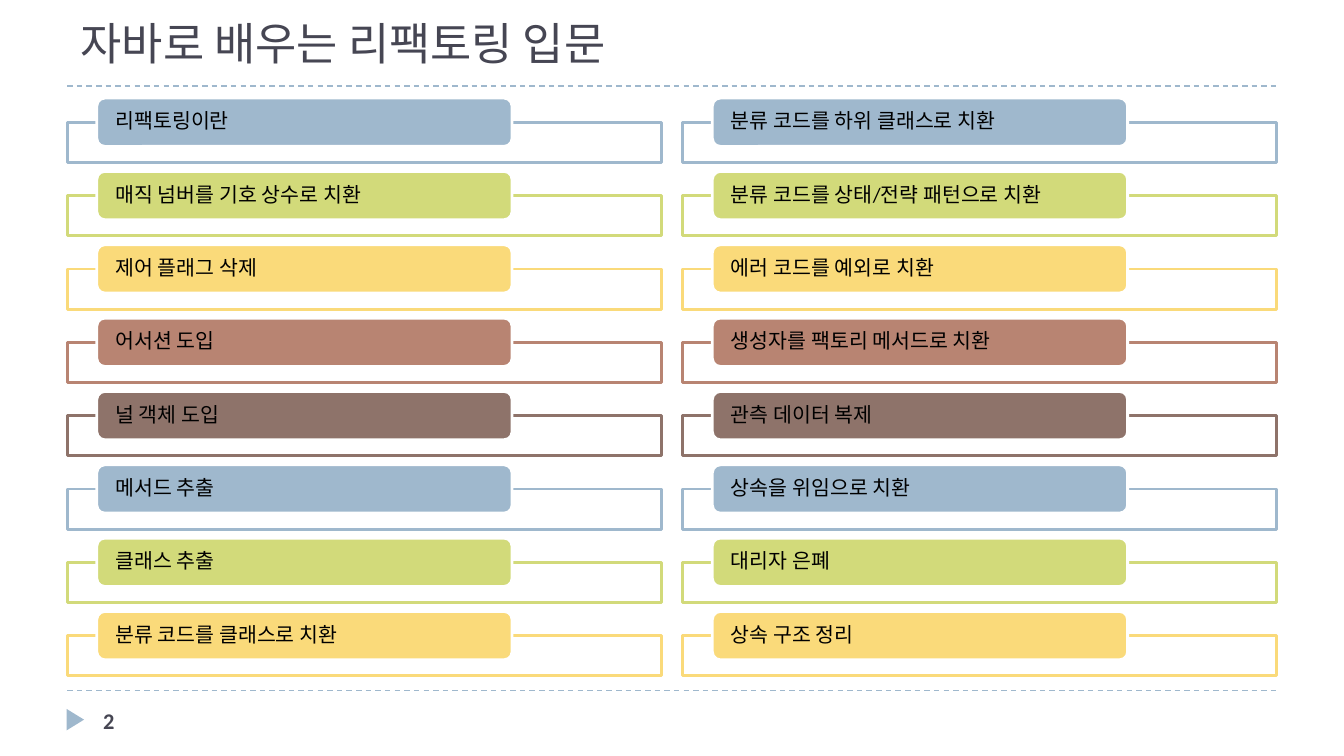
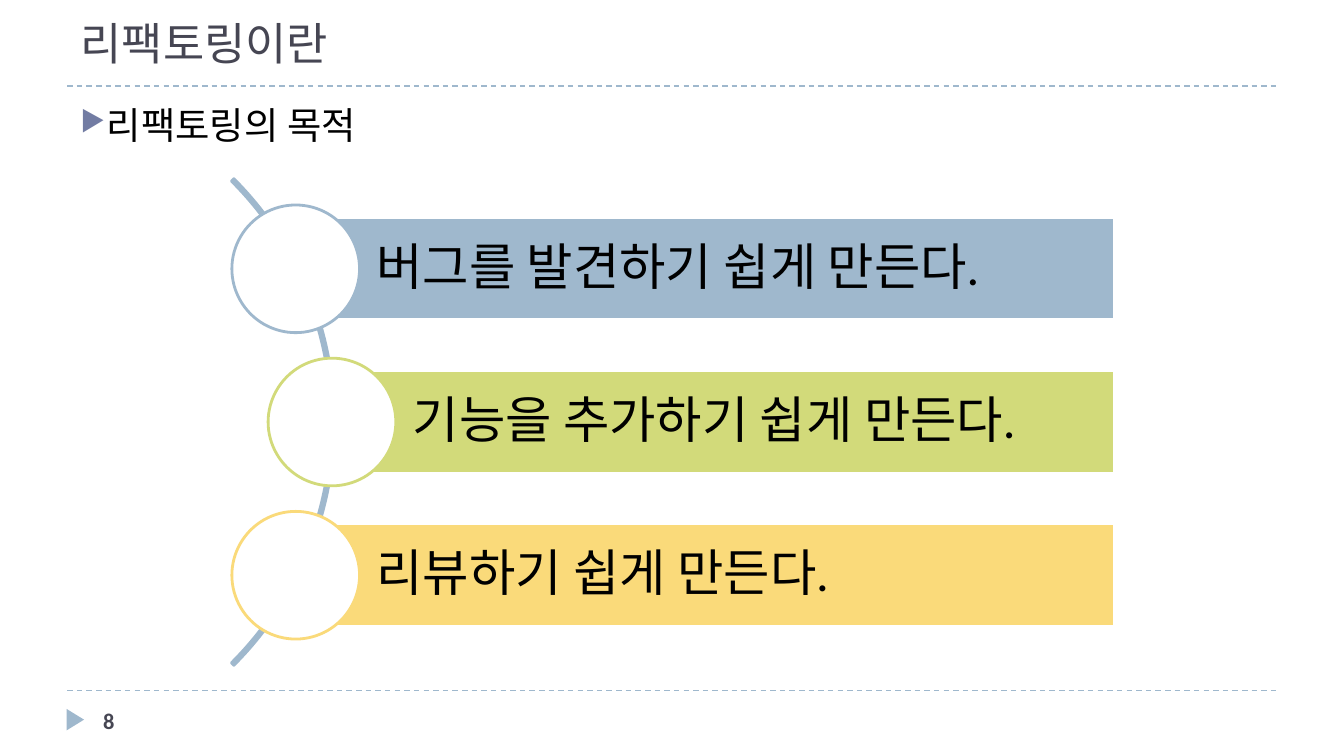
import dataclasses

import lxml.etree
import pptx
import pptx.dml.color
import pptx.enum.dml
import pptx.enum.shapes
import pptx.enum.text
import pptx.oxml.ns
import pptx.presentation
import pptx.shapes.autoshape
import pptx.slide
import pptx.text.text
import pptx.util

Inches = pptx.util.Inches
Pt = pptx.util.Pt
RGBColor = pptx.dml.color.RGBColor
Kind = pptx.enum.shapes.MSO_SHAPE
Anchor = pptx.enum.text.MSO_ANCHOR
qn = pptx.oxml.ns.qn

WHITE = RGBColor(0xFF, 0xFF, 0xFF)
BLACK = RGBColor(0x00, 0x00, 0x00)
SLATE = RGBColor(0x46, 0x46, 0x53)
INDIGO = RGBColor(0x72, 0x7C, 0xA3)
BLUE = RGBColor(0x9F, 0xB8, 0xCD)
GREEN = RGBColor(0xD2, 0xDA, 0x7A)
YELLOW = RGBColor(0xFA, 0xDA, 0x7A)
RUST = RGBColor(0xB8, 0x84, 0x72)
BROWN = RGBColor(0x8E, 0x73, 0x6A)
CYCLE = (BLUE, GREEN, YELLOW, RUST, BROWN)

LATIN = "Calibri"
KOREAN = "Noto Sans CJK KR"
MONO = "Courier New"

TOPICS = (
    ("리팩토링이란", "매직 넘버를 기호 상수로 치환", "제어 플래그 삭제", "어서션 도입",
     "널 객체 도입", "메서드 추출", "클래스 추출", "분류 코드를 클래스로 치환"),
    ("분류 코드를 하위 클래스로 치환", "분류 코드를 상태/전략 패턴으로 치환",
     "에러 코드를 예외로 치환", "생성자를 팩토리 메서드로 치환",
     "관측 데이터 복제", "상속을 위임으로 치환", "대리자 은폐", "상속 구조 정리"),
)
LEFTS = (0.5, 5.08)
ROW_TOP = 0.73
ROW_STEP = 3.82 / 7

BAR_TOP = 1.62
BAR_STEP = 1.14
BAR_HIGH = 0.76
BAR_END = 8.29
DISC = 0.95


@dataclasses.dataclass(frozen=True)
class Box:
    left: float
    top: float
    width: float
    height: float

    def lengths(self) -> tuple[pptx.util.Length, ...]:
        return tuple(Inches(side) for side in dataclasses.astuple(self))


@dataclasses.dataclass(frozen=True)
class Style:
    size: float
    color: RGBColor = BLACK
    font: str = LATIN
    bold: bool = False


@dataclasses.dataclass(frozen=True)
class Goal:
    text: str
    left: float
    color: RGBColor


TITLE = Style(24, SLATE, KOREAN)
NUMBER = Style(12, SLATE, bold=True)
CHIP = Style(11)
POINT = Style(20, font=MONO)
GOAL = Style(27)

GOALS = (
    Goal("버그를 발견하기 쉽게 만든다.", 2.2, BLUE),
    Goal("기능을 추가하기 쉽게 만든다.", 2.47, GREEN),
    Goal("리뷰하기 쉽게 만든다.", 2.2, YELLOW),
)


def write(frame: pptx.text.text.TextFrame, text: str, style: Style,
          anchor: Anchor = Anchor.TOP) -> pptx.text.text._Paragraph:
    frame.text = text
    frame.word_wrap = True
    frame.vertical_anchor = anchor
    para = frame.paragraphs[0]
    para.alignment = pptx.enum.text.PP_ALIGN.LEFT
    para.font.size = Pt(style.size)
    para.font.bold = style.bold
    para.font.color.rgb = style.color
    para.font.name = style.font
    return para


def label(shape: pptx.shapes.autoshape.Shape, text: str, style: Style,
          insets: tuple[float, float, float, float]) -> None:
    """Write centred-height text inside a shape, with tight lines."""
    frame = shape.text_frame
    para = write(frame, text, style, Anchor.MIDDLE)
    para.line_spacing = 0.9
    (frame.margin_left, frame.margin_top,
     frame.margin_right, frame.margin_bottom) = map(Inches, insets)


def draw(slide: pptx.slide.Slide, kind: Kind, box: Box, fill: RGBColor,
         line: RGBColor | None) -> pptx.shapes.autoshape.Shape:
    shape = slide.shapes.add_shape(kind, *box.lengths())
    shape.shadow.inherit = False
    shape.fill.solid()
    shape.fill.fore_color.rgb = fill
    if line is None:
        shape.line.fill.background()
    else:
        shape.line.color.rgb = line
        shape.line.width = Pt(1.5)
    return shape


def add_text(slide: pptx.slide.Slide, box: Box, text: str,
             style: Style) -> pptx.text.text._Paragraph:
    shape = slide.shapes.add_textbox(*box.lengths())
    return write(shape.text_frame, text, style)


def add_rule(slide: pptx.slide.Slide, top: float) -> None:
    rule = slide.shapes.add_connector(
        pptx.enum.shapes.MSO_CONNECTOR.STRAIGHT,
        Inches(0.5), Inches(top), Inches(9.5), Inches(top))
    rule.line.color.rgb = BLUE
    rule.line.width = Pt(0.75)
    rule.line.dash_style = pptx.enum.dml.MSO_LINE.DASH
    lxml.etree.SubElement(rule._element.spPr, qn("a:effectLst"))


def add_slide(deck: pptx.presentation.Presentation, title: str,
              number: int) -> pptx.slide.Slide:
    """Add a slide with its title, dashed rules and page mark."""
    slide = deck.slides.add_slide(deck.slide_layouts[5])
    for top in (5.14, 0.64):
        add_rule(slide, top)
    mark = draw(slide, Kind.ISOSCELES_TRIANGLE, Box(0.48, 5.29, 0.16, 0.13), BLUE, None)
    mark.rotation = 90
    head = slide.shapes.title
    head.left, head.top, head.width, head.height = Box(0.5, 0.13, 9, 0.44).lengths()
    write(head.text_frame, title, TITLE, Anchor.BOTTOM)
    add_text(slide, Box(0.67, 5.21, 2.17, 0.3), str(number), NUMBER)
    return slide


def add_topic(slide: pptx.slide.Slide, left: float, top: float, text: str,
              color: RGBColor) -> None:
    draw(slide, Kind.RECTANGLE, Box(left, top + 0.18, 4.42, 0.3), WHITE, color)
    chip = draw(slide, Kind.ROUNDED_RECTANGLE, Box(left + 0.22, top, 3.09, 0.36),
                color, WHITE)
    label(chip, text, CHIP, (0.12, 0, 0.12, 0))


def add_bullet(para: pptx.text.text._Paragraph) -> None:
    props = para._p.get_or_add_pPr()
    props.set("marL", str(Inches(0.19)))
    props.set("indent", str(Inches(-0.19)))
    color = lxml.etree.Element(qn("a:buClr"))
    lxml.etree.SubElement(color, qn("a:srgbClr")).set("val", str(INDIGO))
    size = lxml.etree.Element(qn("a:buSzPct"))
    size.set("val", "76000")
    char = lxml.etree.Element(qn("a:buChar"))
    char.set("char", "▶")
    fonts = props.find(qn("a:defRPr"))
    for part in (color, size, char):
        fonts.addprevious(part)


def add_goal(slide: pptx.slide.Slide, goal: Goal, top: float) -> None:
    bar = draw(slide, Kind.RECTANGLE,
               Box(goal.left, top, BAR_END - goal.left, BAR_HIGH), goal.color, WHITE)
    label(bar, goal.text, GOAL, (0.6, 0.07, 0.07, 0.07))
    disc = Box(goal.left - DISC / 2, top + (BAR_HIGH - DISC) / 2, DISC, DISC)
    draw(slide, Kind.OVAL, disc, WHITE, goal.color)


def build_topics(deck: pptx.presentation.Presentation) -> None:
    slide = add_slide(deck, "자바로 배우는 리팩토링 입문", 2)
    for left, topics in zip(LEFTS, TOPICS):
        for row, text in enumerate(topics):
            add_topic(slide, left, ROW_TOP + row * ROW_STEP, text,
                      CYCLE[row % len(CYCLE)])


def build_goals(deck: pptx.presentation.Presentation) -> None:
    slide = add_slide(deck, "리팩토링이란", 8)
    point = add_text(slide, Box(0.5, 0.71, 9, 4.34), "리팩토링의 목적", POINT)
    point.space_before = Pt(3.8)
    add_bullet(point)
    arc = draw(slide, Kind.BLOCK_ARC, Box(-2.63, 0.58, 5.12, 5.12), BLUE, BLUE)
    for index, value in enumerate((189, 27, 0.005)):
        arc.adjustments[index] = value
    for row, goal in enumerate(GOALS):
        add_goal(slide, goal, BAR_TOP + row * BAR_STEP)


def main() -> None:
    deck = pptx.Presentation()
    deck.slide_width = Inches(10)
    deck.slide_height = deck.slide_width * 9 // 16
    build_topics(deck)
    build_goals(deck)
    deck.save("out.pptx")


if __name__ == "__main__":
    main()
